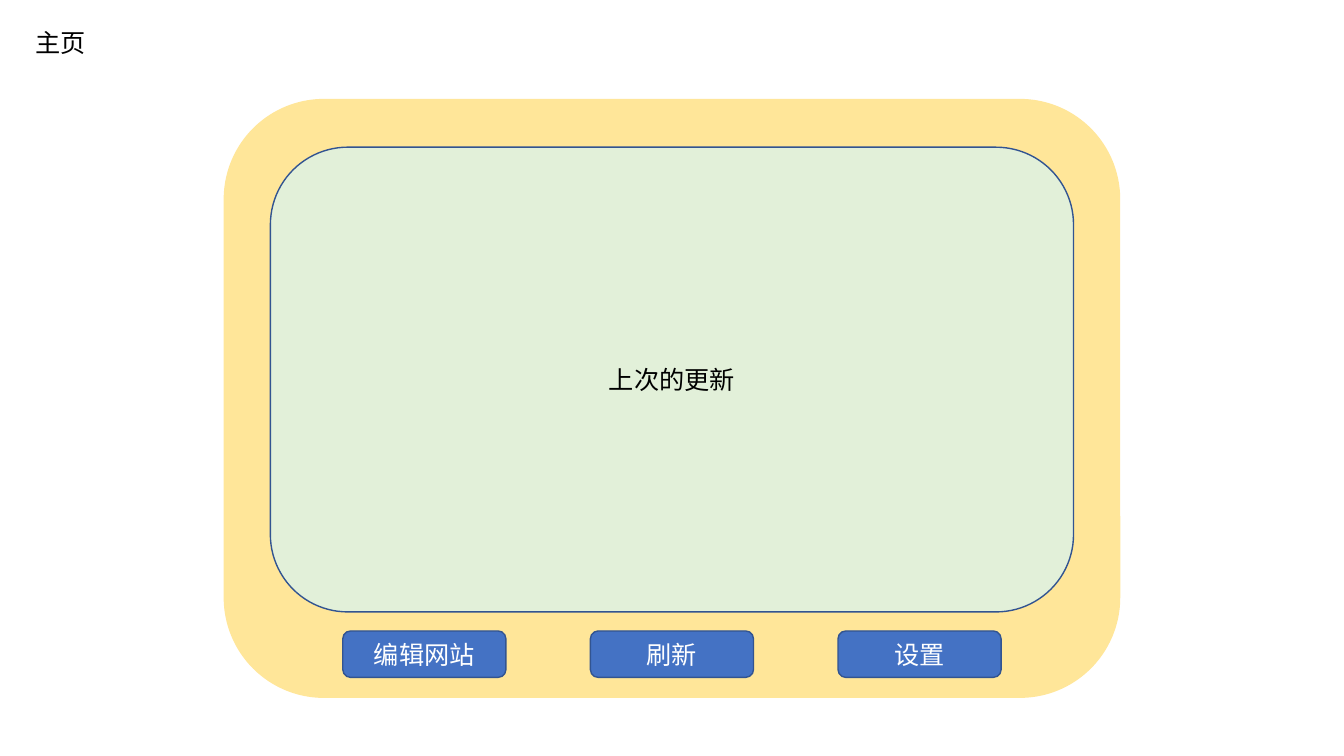
from dataclasses import dataclass

from lxml.etree import SubElement
from pptx import Presentation
from pptx.dml.color import RGBColor
from pptx.enum.shapes import MSO_SHAPE as Preset
from pptx.enum.text import MSO_ANCHOR as Anchor, MSO_AUTO_SIZE as AutoSize, PP_ALIGN as Align
from pptx.oxml.ns import qn
from pptx.util import Cm, Pt

TITLE = "主页"
UPDATE = "上次的更新"
BUTTONS = ["编辑网站", "刷新", "设置"]


@dataclass(frozen=True)
class Theme:
    """Colours, font and type size of the slide."""
    frame: str = "FFE699"
    panel: str = "E2F0D9"
    button: str = "4472C4"
    outline: str = "325491"
    dark: str = "000000"
    light: str = "FFFFFF"
    font: str = "Noto Sans CJK SC"
    size: int = 18


THEME = Theme()
PAGE_WIDTH, PAGE_HEIGHT = 33.87, 19.05
BUTTON_WIDTH, BUTTON_PITCH = 4.11, 6.24


def write(box, text, color=THEME.dark, align=Align.CENTER, anchor=Anchor.MIDDLE):
    """Put one formatted line of text into a shape."""
    frame = box.text_frame
    frame.word_wrap = True
    frame.vertical_anchor = anchor
    para = frame.paragraphs[0]
    para.alignment = align
    span = para.add_run()
    span.text = text
    span.font.size = Pt(THEME.size)
    span.font.name = THEME.font
    span.font.color.rgb = RGBColor.from_string(color)
    SubElement(span.font._element, qn("a:ea"), typeface=THEME.font)


def add_rounded(page, center, top, width, height, fill, line=THEME.outline):
    """Add a rounded rectangle centred on a horizontal position."""
    box = page.shapes.add_shape(Preset.ROUNDED_RECTANGLE, Cm(center - width / 2),
                                Cm(top), Cm(width), Cm(height))
    box.shadow.inherit = False
    box.fill.solid()
    box.fill.fore_color.rgb = RGBColor.from_string(fill)
    box.line.color.rgb = RGBColor.from_string(line)
    box.line.width = Pt(1)
    return box


def add_title(page):
    """Place the page name in the title placeholder."""
    box = page.shapes.title
    box.left, box.top, box.width, box.height = Cm(0.64), Cm(0.56), Cm(3.51), Cm(1.02)
    write(box, TITLE, align=Align.LEFT, anchor=Anchor.TOP)
    box.text_frame.auto_size = AutoSize.SHAPE_TO_FIT_TEXT


def add_buttons(page, middle):
    """Spread the buttons evenly around the middle of the page."""
    for index, label in enumerate(BUTTONS):
        center = middle + (index - (len(BUTTONS) - 1) / 2) * BUTTON_PITCH
        button = add_rounded(page, center, 15.9, BUTTON_WIDTH, 1.17, THEME.button)
        write(button, label, color=THEME.light)


deck = Presentation()
deck.slide_width, deck.slide_height = Cm(PAGE_WIDTH), Cm(PAGE_HEIGHT)
page = deck.slides.add_slide(deck.slide_layouts[5])
middle = PAGE_WIDTH / 2

add_title(page)
add_rounded(page, middle, 2.51, 22.56, 15.06, THEME.frame, line=THEME.frame)
panel = add_rounded(page, middle, 3.71, 20.24, 11.71, THEME.panel)
write(panel, UPDATE)
add_buttons(page, middle)

deck.save("out.pptx")
